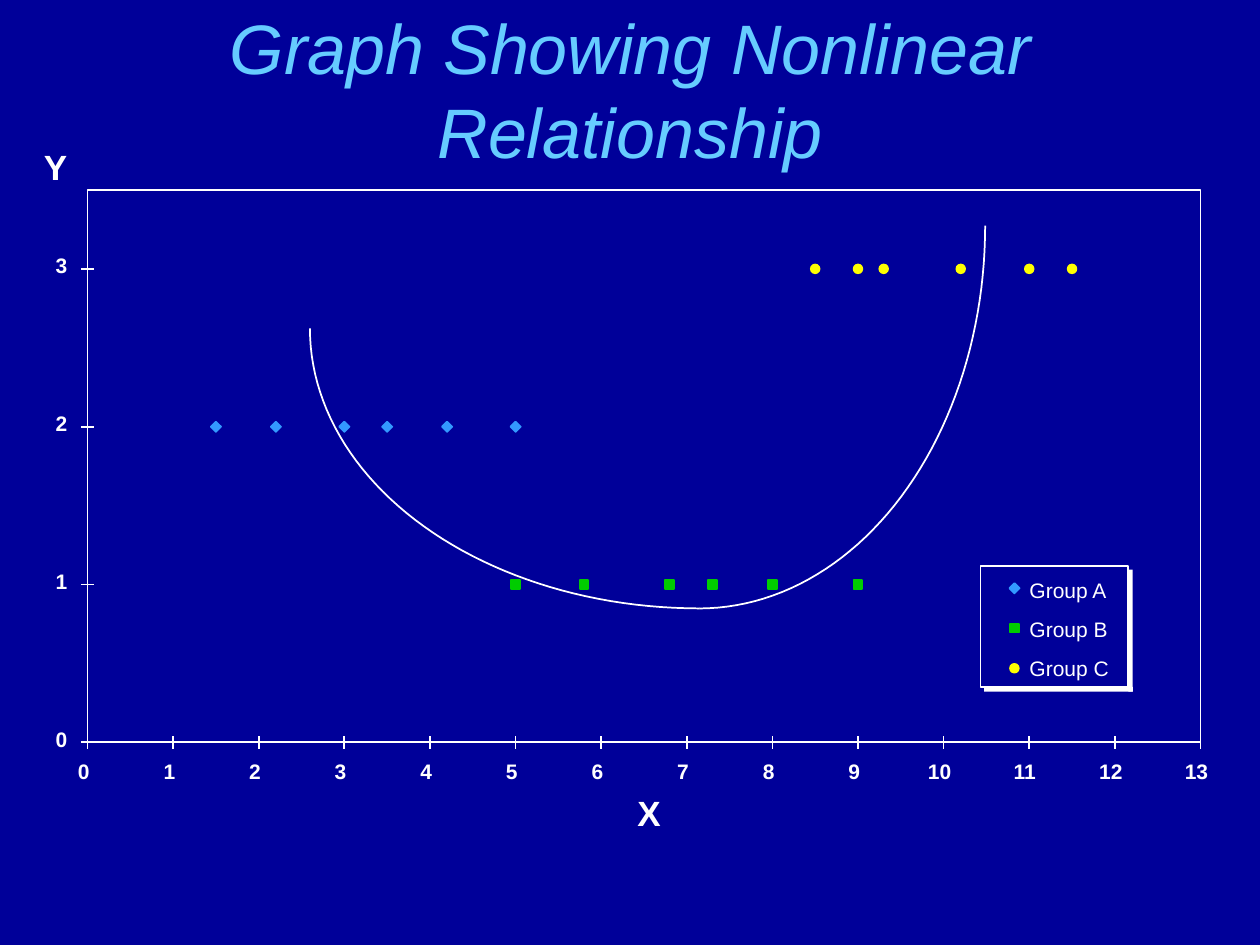
from dataclasses import dataclass
from math import cos, pi, sin

from lxml import etree
from pptx import Presentation
from pptx.dml.color import RGBColor
from pptx.enum import shapes, text
from pptx.oxml import ns
from pptx.util import Pt

NAVY = RGBColor(0x00, 0x00, 0x99)
SKY = RGBColor(0x66, 0xCC, 0xFF)
WHITE = RGBColor(0xFF, 0xFF, 0xFF)
BLUE = RGBColor(0x33, 0x99, 0xFF)
GREEN = RGBColor(0x00, 0xCC, 0x00)
YELLOW = RGBColor(0xFF, 0xFF, 0x00)
KIND = shapes.MSO_SHAPE

LEFT, TOP, RIGHT, BASE = 50, 108.6, 686, 424.2
COLS, ROWS = 13, 3.5
TICK = 3.8


@dataclass
class Group:
    name: str
    kind: KIND
    color: RGBColor
    size: float
    level: int
    values: tuple


@dataclass
class Curve:
    x: float
    y: float
    wide: float
    high: float


GROUPS = (
    Group("Group A", KIND.DIAMOND, BLUE, 5.8, 2, (1.5, 2.2, 3, 3.5, 4.2, 5)),
    Group("Group B", KIND.RECTANGLE, GREEN, 5, 1, (5, 5.8, 6.8, 7.3, 8, 9)),
    Group("Group C", KIND.OVAL, YELLOW, 5, 3, (8.5, 9, 9.3, 10.2, 11, 11.5)),
)
CURVES = (
    Curve(399.6, 187.7, -222.5, 160),
    Curve(399.6, 128.9, 163.4, 218.8),
)


def at_x(value: float) -> float:
    return LEFT + value * (RIGHT - LEFT) / COLS


def at_y(value: float) -> float:
    return BASE - value * (BASE - TOP) / ROWS


def write(frame, words: str, size=12, color=WHITE, bold=False,
          italic=False, align=text.PP_ALIGN.LEFT) -> None:
    para = frame.paragraphs[0]
    para.alignment = align
    run = para.add_run()
    run.text = words
    font = run.font
    font.name, font.size = "Arial", Pt(size)
    font.bold, font.italic = bold, italic
    font.color.rgb = color


def label(slide, words: str, x: float, y: float, wide: float,
          high: float = 21.8, **style) -> None:
    box = slide.shapes.add_textbox(Pt(x), Pt(y), Pt(wide), Pt(high))
    box.text_frame.word_wrap = False
    box.text_frame.auto_size = text.MSO_AUTO_SIZE.SHAPE_TO_FIT_TEXT
    write(box.text_frame, words, **style)


def paint(shape, fill=None, line=None) -> None:
    shape.shadow.inherit = False
    for part, color in ((shape.fill, fill), (shape.line.fill, line)):
        if color is None:
            part.background()
        else:
            part.solid()
            part.fore_color.rgb = color
    if line is not None:
        shape.line.width = Pt(1)


def block(slide, kind: KIND, x: float, y: float, wide: float, high: float,
          fill=None, line=None) -> None:
    shape = slide.shapes.add_shape(kind, Pt(x), Pt(y), Pt(wide), Pt(high))
    paint(shape, fill, line)


def rule(slide, x1: float, y1: float, x2: float, y2: float) -> None:
    line = slide.shapes.add_connector(
        shapes.MSO_CONNECTOR.STRAIGHT, Pt(x1), Pt(y1), Pt(x2), Pt(y2))
    line.line.width = Pt(1)
    line.line.color.rgb = WHITE
    etree.SubElement(line._element.spPr, ns.qn("a:effectLst"))


def mark(slide, group: Group, x: float, y: float) -> None:
    size = group.size
    block(slide, group.kind, x - size / 2, y - size / 2, size, size,
          group.color, group.color)


def bend(slide, curve: Curve, steps: int = 48) -> None:
    turns = [pi / 2 * i / steps for i in range(steps + 1)]
    points = [(Pt(curve.x + curve.wide * cos(t)),
               Pt(curve.y + curve.high * sin(t))) for t in turns]
    form = slide.shapes.build_freeform(*points[0])
    form.add_line_segments(points[1:], close=False)
    paint(form.convert_to_shape(), line=WHITE)


def axes(slide) -> None:
    block(slide, KIND.RECTANGLE, LEFT, TOP, RIGHT - LEFT, BASE - TOP,
          line=WHITE)
    rule(slide, LEFT, TOP, LEFT, BASE)
    rule(slide, LEFT, BASE, RIGHT, BASE)
    for value in range(4):
        y = at_y(value)
        rule(slide, LEFT - TICK, y, LEFT + TICK, y)
        label(slide, str(value), 24.7, y - 12.8, 21.5, bold=True)
    for value in range(COLS + 1):
        x = at_x(value)
        rule(slide, x, BASE + TICK, x, BASE - TICK)
        wide = 21.5 if value < 10 else 28.5
        label(slide, str(value), x - 1.8 - wide / 2, 430, wide, bold=True)
    label(slide, "Y", 18, 79.6, 28.5, 31, size=20, bold=True)
    label(slide, "X", 357.1, 448.6, 28.5, 31, size=20, bold=True)


def legend(slide) -> None:
    x, y, wide, high = 560.3, 323.5, 84.5, 69
    block(slide, KIND.RECTANGLE, x + wide, y + 2, 2.5, high + 0.7, WHITE)
    block(slide, KIND.RECTANGLE, x + 2, y + high, wide + 0.5, 2.7, WHITE)
    block(slide, KIND.RECTANGLE, x, y, wide, high, line=WHITE)
    for i, group in enumerate(GROUPS):
        mark(slide, group, x + 19.4, y + 12.6 + 22.9 * i)
        label(slide, group.name, x + 20.9, y + 2.7 + 22.4 * i, 62)


def main() -> None:
    deck = Presentation()
    deck.slide_width, deck.slide_height = Pt(720), Pt(540)
    slide = deck.slides.add_slide(deck.slide_layouts[5])
    slide.background.fill.solid()
    slide.background.fill.fore_color.rgb = NAVY

    title = slide.shapes.title
    title.left, title.top = Pt(54), Pt(23.5)
    title.width, title.height = Pt(612), Pt(54)
    frame = title.text_frame
    frame.auto_size = text.MSO_AUTO_SIZE.NONE
    frame.vertical_anchor = text.MSO_ANCHOR.MIDDLE
    write(frame, "Graph Showing Nonlinear Relationship", size=40, color=SKY,
          italic=True, align=text.PP_ALIGN.CENTER)

    axes(slide)
    for group in GROUPS:
        for value in group.values:
            mark(slide, group, at_x(value), at_y(group.level))
    legend(slide)
    for curve in CURVES:
        bend(slide, curve)
    deck.save("out.pptx")


if __name__ == "__main__":
    main()
